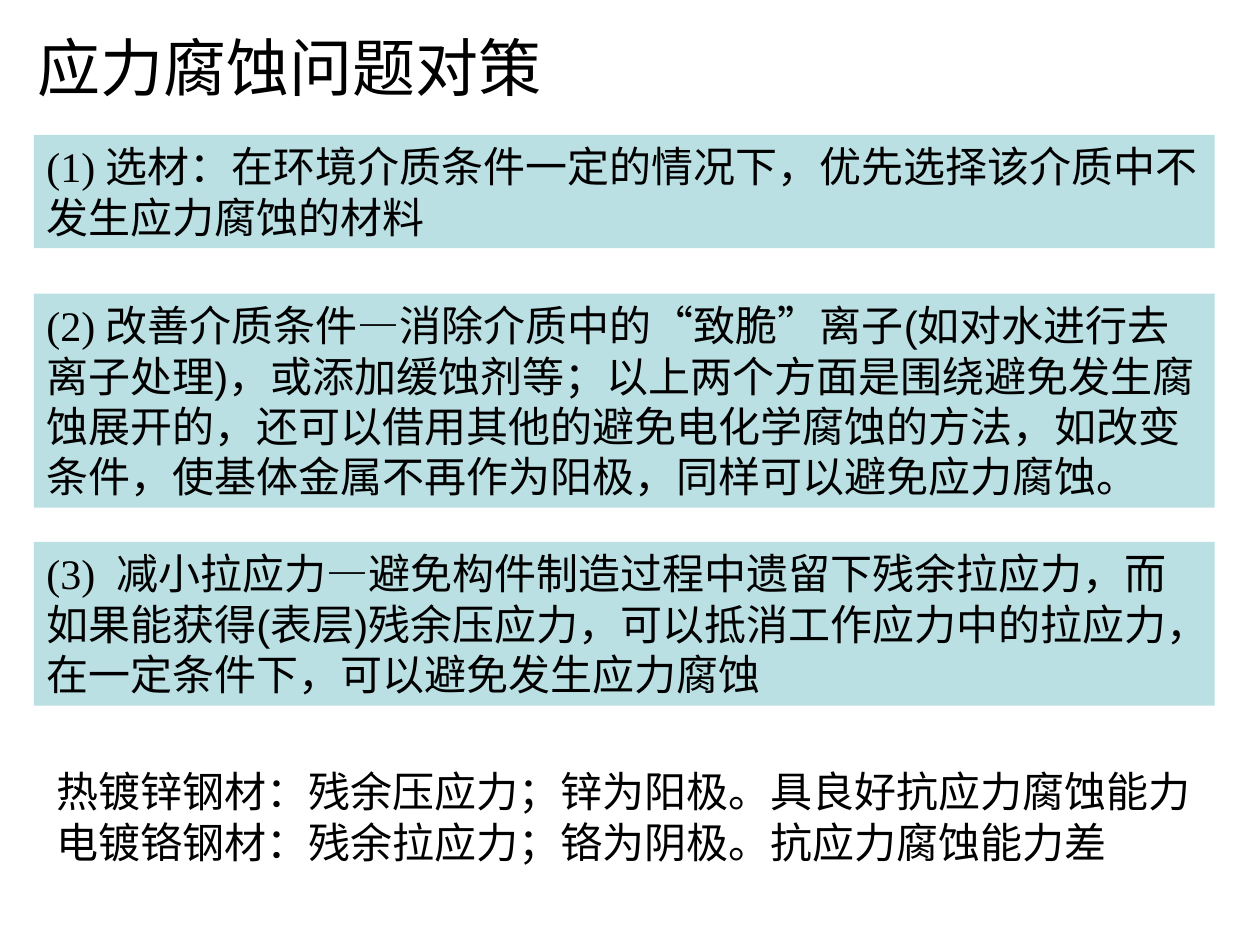
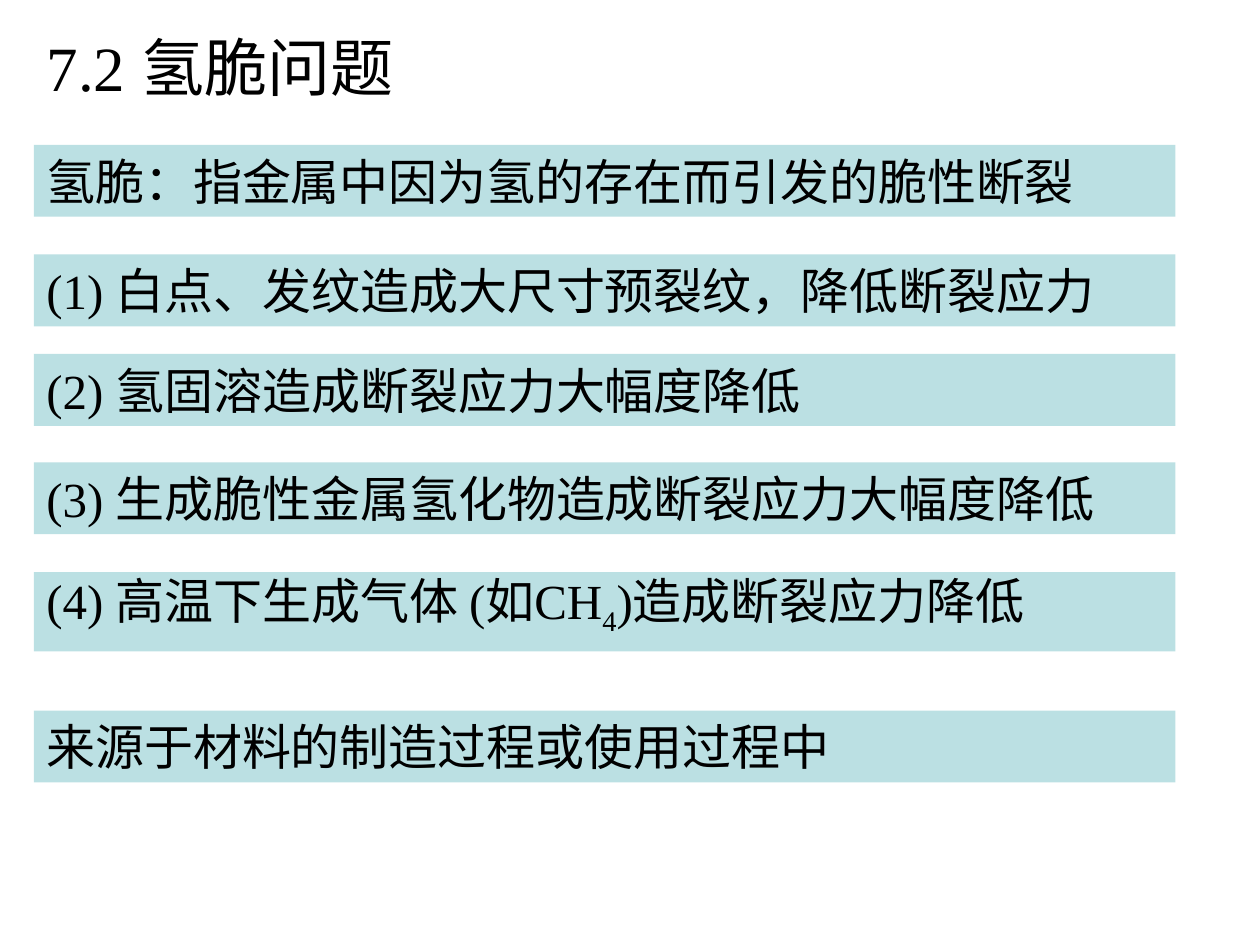
import pptx
import pptx.util
import pptx.dml.color
import pptx.enum.shapes
import pptx.enum.text
import lxml.etree

PX = 9144  # 100 px to the inch
COLORS = {"text": "000000", "band": "BBE0E3"}
CJK, SERIF, SANS = "Noto Sans CJK JP", "Times New Roman", "Arial"
TITLE_TOP, TITLE_H, BAND_LEFT = 21, 63, 27


def place(sp, x, y, w, h):
    sp.left, sp.top, sp.width, sp.height = x * PX, y * PX, w * PX, h * PX


def write(sp, paragraphs, size, anchor):
    """Each paragraph is a list of (text, font) runs; font "sub" is a subscript."""
    tf = sp.text_frame
    tf.word_wrap = True
    tf.auto_size = pptx.enum.text.MSO_AUTO_SIZE.NONE
    tf.vertical_anchor = anchor
    tf.margin_left = tf.margin_right = 10 * PX
    tf.margin_top = tf.margin_bottom = 5 * PX
    for i, runs in enumerate(paragraphs):
        p = tf.paragraphs[0] if i == 0 else tf.add_paragraph()
        p.alignment = pptx.enum.text.PP_ALIGN.LEFT
        p.line_spacing = pptx.util.Pt(size * 1.2)
        p.space_before = pptx.util.Pt(0)
        for text, font in runs:
            r = p.add_run()
            r.text = text
            r.font.size = pptx.util.Pt(size)
            r.font.name = SERIF if font == "sub" else font
            r.font.color.rgb = pptx.dml.color.RGBColor.from_string(COLORS["text"])
            rPr = r.font._element
            if font == "sub":
                rPr.set("baseline", "-25000")
            ea = lxml.etree.SubElement(rPr, pptx.oxml.ns.qn("a:ea"))
            ea.set("typeface", CJK)


TOP = pptx.enum.text.MSO_ANCHOR.TOP
MIDDLE = pptx.enum.text.MSO_ANCHOR.MIDDLE

slides = [
    {
        "title": [("应力腐蚀问题对策", CJK)],
        "title_box": (20, 748),
        "band_width": 937,
        "size": 24,
        # top, height, runs
        "bands": [
            (107, 90, [("(1) ", SERIF),
                       ("选材：在环境介质条件一定的情况下，优先选择该介质中不发生应力腐蚀的材料", CJK)]),
            (233, 170, [("(2) ", SERIF),
                        ("改善介质条件—消除介质中的“致脆”离子(如对水进行去离子处理)，"
                         "或添加缓蚀剂等；以上两个方面是围绕避免发生腐蚀展开的，"
                         "还可以借用其他的避免电化学腐蚀的方法，如改变条件，"
                         "使基体金属不再作为阳极，同样可以避免应力腐蚀。", SANS)]),
            (430, 130, [("(3)  ", SERIF),
                        ("减小拉应力—避免构件制造过程中遗留下残余拉应力，"
                         "而如果能获得(表层)残余压应力，可以抵消工作应力中的拉应力，"
                         "在一定条件下，可以避免发生应力腐蚀", SANS)]),
        ],
    },
    {
        "title": [("7.2 ", SERIF), ("氢脆问题", SANS)],
        "title_box": (27, 898),
        "band_width": 906,
        "size": 28,
        "bands": [
            (115, 57, [("氢脆：指金属中因为氢的存在而引发的脆性断裂", CJK)]),
            (202, 57, [("(1) ", SERIF), ("白点、发纹造成大尺寸预裂纹，降低断裂应力", CJK)]),
            (281, 57, [("(2) ", SERIF), ("氢固溶造成断裂应力大幅度降低", CJK)]),
            (367, 57, [("(3) ", SERIF), ("生成脆性金属氢化物造成断裂应力大幅度降低", CJK)]),
            (454, 63, [("(4) ", SERIF), ("高温下生成气体 ", CJK), ("(如CH", SERIF),
                       ("4", "sub"), (")", SERIF), ("造成断裂应力降低", CJK)]),
            (564, 57, [("来源于材料的制造过程或使用过程中", CJK)]),
        ],
    },
]

prs = pptx.Presentation()
prs.slide_width, prs.slide_height = 1000 * PX, 750 * PX

for content in slides:
    s = prs.slides.add_slide(prs.slide_layouts[5])

    # Title
    left, width = content["title_box"]
    place(s.shapes.title, left, TITLE_TOP, width, TITLE_H)
    write(s.shapes.title, [content["title"]], 36, MIDDLE)

    # Coloured bands
    for top, height, runs in content["bands"]:
        sp = s.shapes.add_shape(pptx.enum.shapes.MSO_SHAPE.RECTANGLE, 0, 0, 0, 0)
        place(sp, BAND_LEFT, top, content["band_width"], height)
        sp.shadow.inherit = False
        sp.fill.solid()
        sp.fill.fore_color.rgb = pptx.dml.color.RGBColor.from_string(COLORS["band"])
        sp.line.fill.background()
        write(sp, [runs], content["size"], TOP)

# Comparison of coatings below the bands of the first slide
tb = prs.slides[0].shapes.add_textbox(0, 0, 0, 0)
place(tb, 35, 603, 929, 90)
write(tb, [[("热镀锌钢材：残余压应力；锌为阳极。具良好抗应力腐蚀能力", CJK)],
           [("电镀铬钢材：残余拉应力；铬为阴极。抗应力腐蚀能力差", CJK)]], 24, TOP)

prs.save("out.pptx")
